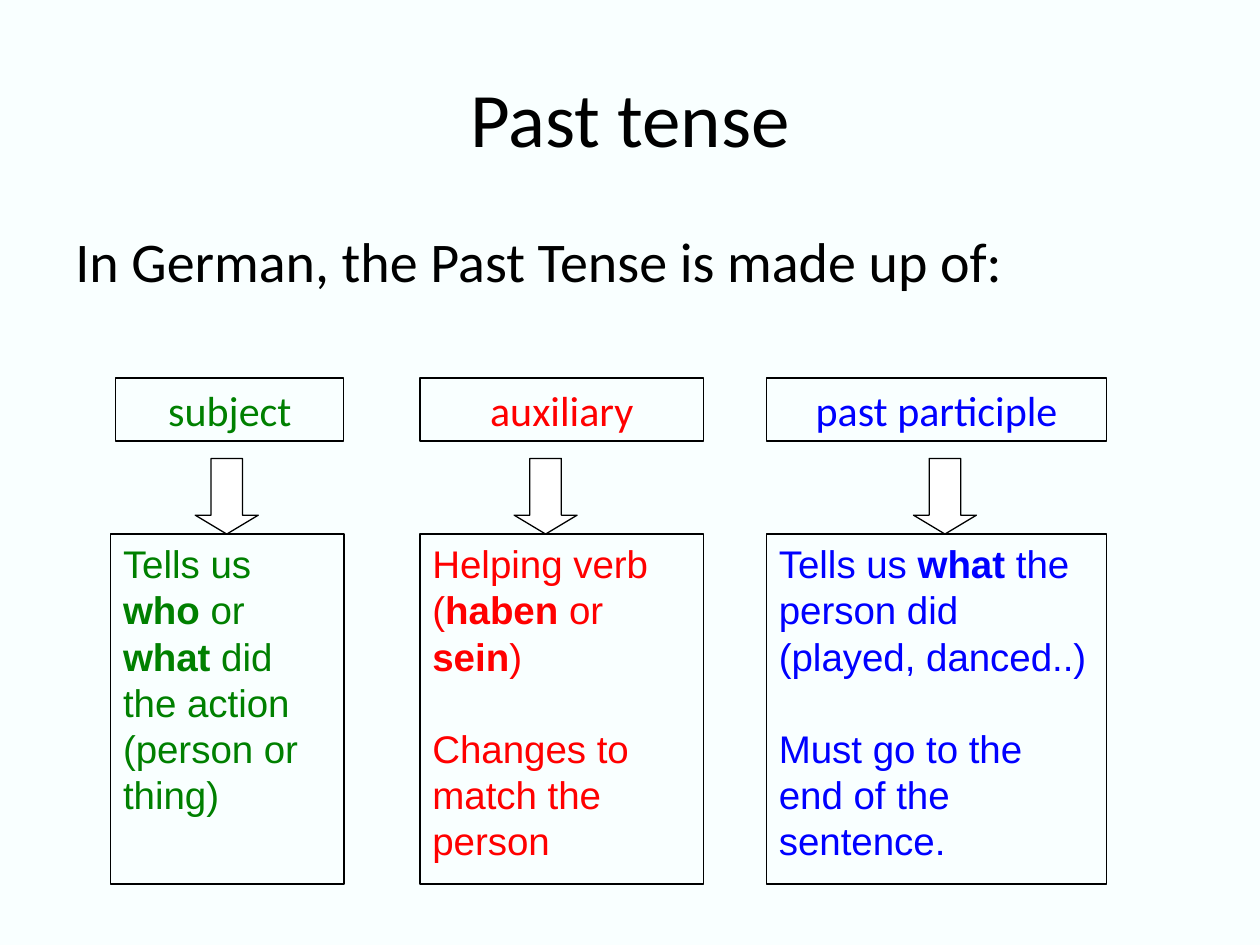
import pptx
import pptx.util
import pptx.dml.color
import pptx.enum.shapes
import pptx.enum.text

Pt = pptx.util.Pt
SHAPES = pptx.enum.shapes.MSO_SHAPE
ANCHORS = pptx.enum.text.MSO_ANCHOR
ALIGNMENTS = pptx.enum.text.PP_ALIGN

COLORS = {
    "background": "F9FFFF",
    "black": "000000",
    "white": "FFFFFF",
    "green": "008000",
    "red": "FF0000",
    "blue": "0000FF",
}

LABEL_TOP, LABEL_HEIGHT = 216, 36
ARROW_TOP, ARROW_WIDTH, ARROW_HEIGHT = 262, 36, 43.2
DETAIL_TOP, DETAIL_HEIGHT = 305.2, 200
DETAIL_LINE = 26.4

# Each paragraph is a list of (text, bold) runs.
COLUMNS = [
    {
        "label": "subject", "color": "green", "label_left": 66.2,
        "left": 63.2, "right": 196.5, "arrow_left": 111.6,
        "details": [[("Tells us ", False), ("who", True), (" or ", False),
                     ("what", True),
                     (" did the action (person or thing)", False)]],
    },
    {
        "label": "auxiliary", "color": "red", "label_left": 240,
        "left": 240, "right": 402, "arrow_left": 293.8,
        "details": [[("Helping verb (", False), ("haben", True),
                     (" or ", False), ("sein", True), (")", False)],
                    [("Changes to match the person", False)]],
    },
    {
        "label": "past participle", "color": "blue", "label_left": 438,
        "left": 438, "right": 632.4, "arrow_left": 522,
        "details": [[("Tells us ", False), ("what", True),
                     (" the person did (played, danced..)", False)],
                    [("Must go to the end of the sentence.", False)]],
    },
]


def rgb(name):
    """Return the named colour."""
    return pptx.dml.color.RGBColor.from_string(COLORS[name])


def format_run(run, font, size, color, bold=False):
    """Set the typeface, size, colour and weight of a run."""
    run.font.name = font
    run.font.size = Pt(size)
    run.font.color.rgb = rgb(color)
    run.font.bold = bold


def set_line(text_frame, text, size, color, alignment):
    """Fill a text frame with one line of Calibri and return its paragraph."""
    text_frame.word_wrap = True
    text_frame.text = text
    paragraph = text_frame.paragraphs[0]
    paragraph.alignment = alignment
    format_run(paragraph.runs[0], "Calibri", size, color)
    return paragraph


def add_text(slide, box, text, size, alignment, anchor):
    """Add a plain line of text and return its paragraph."""
    shape = slide.shapes.add_textbox(*map(Pt, box))
    shape.text_frame.vertical_anchor = anchor
    return set_line(shape.text_frame, text, size, "black", alignment)


def add_outlined(slide, kind, box, fill=None):
    """Add a preset shape with a thin black outline."""
    shape = slide.shapes.add_shape(kind, *map(Pt, box))
    shape.shadow.inherit = False
    if fill:
        shape.fill.solid()
        shape.fill.fore_color.rgb = rgb(fill)
    else:
        shape.fill.background()
    shape.line.color.rgb = rgb("black")
    shape.line.width = Pt(0.74)
    shape.text_frame.vertical_anchor = ANCHORS.TOP
    return shape


def add_label(slide, column):
    """Add the box that names a part of the tense."""
    left = column["label_left"]
    box = (left, LABEL_TOP, column["right"] - left, LABEL_HEIGHT)
    shape = add_outlined(slide, SHAPES.RECTANGLE, box)
    set_line(shape.text_frame, column["label"], 24, column["color"],
             ALIGNMENTS.CENTER)


def add_arrow(slide, column):
    """Add the arrow from a label to its explanation."""
    box = (column["arrow_left"], ARROW_TOP, ARROW_WIDTH, ARROW_HEIGHT)
    arrow = add_outlined(slide, SHAPES.DOWN_ARROW, box, "white")
    arrow.adjustments[0] = 0.5
    arrow.adjustments[1] = 0.3


def add_details(slide, column):
    """Add the box that explains a part of the tense."""
    left = column["left"]
    box = (left, DETAIL_TOP, column["right"] - left, DETAIL_HEIGHT)
    text_frame = add_outlined(slide, SHAPES.RECTANGLE, box).text_frame
    text_frame.word_wrap = True
    for index, runs in enumerate(column["details"]):
        if index:
            paragraph = text_frame.add_paragraph()
            paragraph.space_before = Pt(DETAIL_LINE)
        else:
            paragraph = text_frame.paragraphs[0]
        paragraph.alignment = ALIGNMENTS.LEFT
        paragraph.line_spacing = Pt(DETAIL_LINE)
        for text, bold in runs:
            run = paragraph.add_run()
            run.text = text
            format_run(run, "Arial", 22, column["color"], bold)


def main():
    """Build and save the slide."""
    presentation = pptx.Presentation()
    presentation.slide_width, presentation.slide_height = Pt(720), Pt(540)
    slide = presentation.slides.add_slide(presentation.slide_layouts[6])
    slide.background.fill.solid()
    slide.background.fill.fore_color.rgb = rgb("background")

    add_text(slide, (36, 21.6, 648, 90), "Past tense", 44,
             ALIGNMENTS.CENTER, ANCHORS.MIDDLE)
    introduction = add_text(slide, (36, 126, 648, 54),
                            "In German, the Past Tense is made up of:", 32,
                            ALIGNMENTS.LEFT, ANCHORS.TOP)
    introduction.space_before = Pt(8)
    for add_part in (add_label, add_arrow, add_details):
        for column in COLUMNS:
            add_part(slide, column)

    presentation.save("out.pptx")


main()
